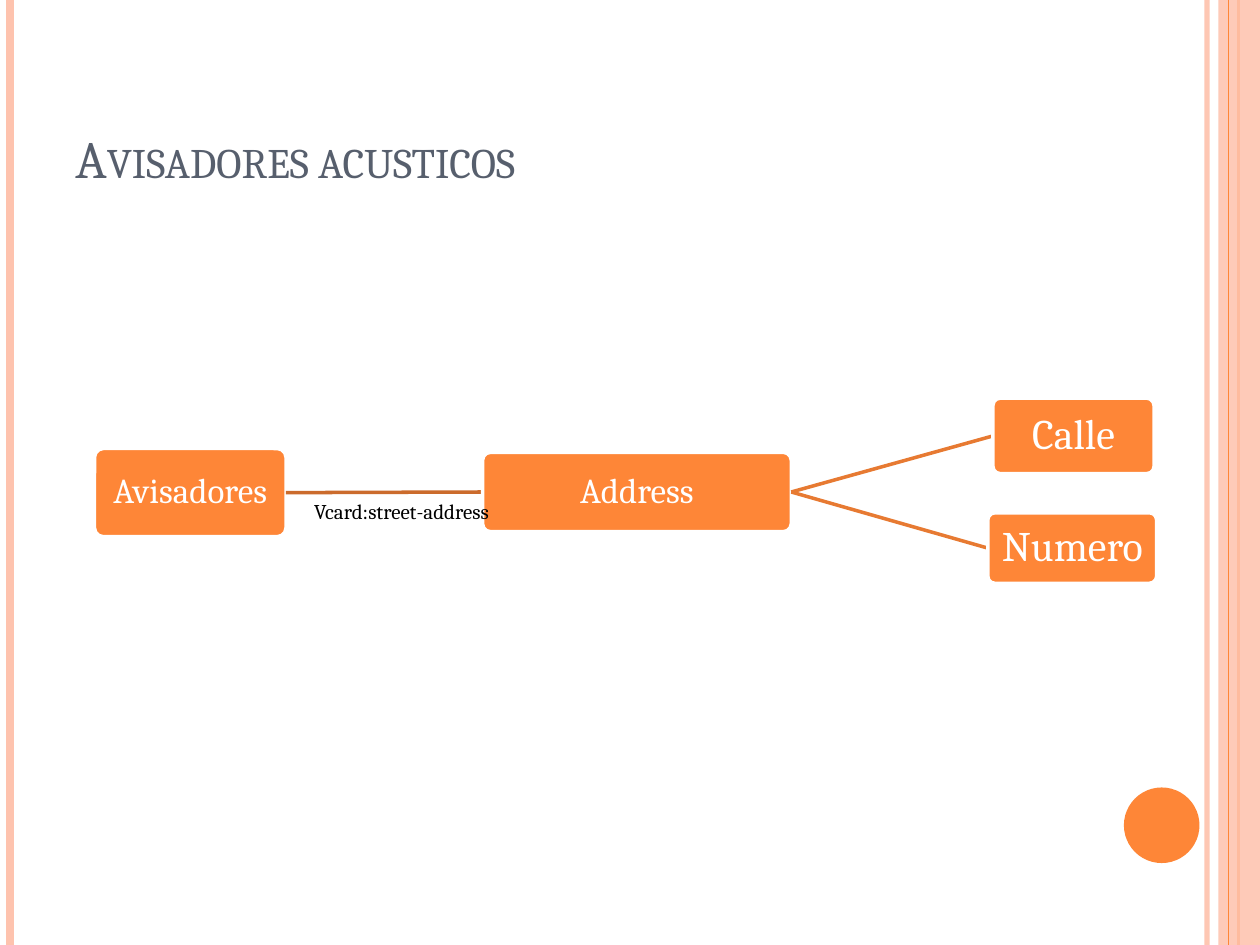
from lxml.etree import SubElement
from pptx import Presentation
from pptx.dml.color import RGBColor
from pptx.enum.shapes import MSO_CONNECTOR, MSO_SHAPE as Shape
from pptx.enum.text import MSO_ANCHOR as Anchor, PP_ALIGN as Align
from pptx.oxml.ns import qn
from pptx.util import Inches, Pt

FONT = "Cambria"
COLORS = {"orange": "FE8637", "peach": "FEC3AE", "slate": "575F6D", "white": "FFFFFF",
          "black": "000000", "link": "CB6B2C", "branch": "E77A32"}
TITLE = "Avisadores acusticos"
RELATION = "Vcard:street-address"
NODES = [
    ("Avisadores", (0.75, 3.56, 1.52, 0.7), 20, None, None),
    ("Address", (3.83, 3.59, 2.45, 0.63), 20, "Avisadores", "link"),
    ("Calle", (7.88, 3.16, 1.28, 0.6), 24, "Address", "branch"),
    ("Numero", (7.84, 4.07, 1.34, 0.56), 24, "Address", "branch"),
]
BACK_STRIPES = [(9.58, "peach", 3, 93), (0.08, "peach", 4.5, 100), (9.83, "orange", 1.5, 100)]
FRONT_STRIPE = (9.75, "orange", 0.75, 100)
BAND = (9.67, 0, 0.33, 7.5)
DISC = (8.92, 6.25, 0.6, 0.6)

prs = Presentation()
prs.slide_width, prs.slide_height = Inches(10), Inches(7.5)
shapes = prs.slides.add_slide(prs.slide_layouts[6]).shapes


def rgb(name):
    return RGBColor.from_string(COLORS[name])


def set_alpha(fill, percent):
    color = fill._xPr.find(qn("a:solidFill"))[0]
    SubElement(color, qn("a:alpha"), val=str(percent * 1000))


def add_line(start, end, color, width):
    line = shapes.add_connector(MSO_CONNECTOR.STRAIGHT, *map(Inches, start + end))
    line.line.color.rgb = rgb(color)
    line.line.width = Pt(width)
    SubElement(line._element.spPr, qn("a:effectLst"))
    return line


def add_stripe(x, color, width, alpha):
    stripe = add_line((x, 0), (x, 7.5), color, width)
    if alpha < 100:
        set_alpha(stripe.line.fill, alpha)


def add_block(kind, box, color):
    block = shapes.add_shape(kind, *map(Inches, box))
    block.shadow.inherit = False
    block.fill.solid()
    block.fill.fore_color.rgb = rgb(color)
    block.line.fill.background()
    return block


def write(frame, text, size, color, align, anchor):
    frame.word_wrap = True
    frame.vertical_anchor = anchor
    paragraph = frame.paragraphs[0]
    paragraph.alignment = align
    run = paragraph.add_run()
    run.text = text
    run.font.name, run.font.size = FONT, Pt(size)
    run.font.color.rgb = rgb(color)
    return run


def add_label(box, *style):
    return write(shapes.add_textbox(*map(Inches, box)).text_frame, *style)


for stripe in BACK_STRIPES:
    add_stripe(*stripe)
set_alpha(add_block(Shape.RECTANGLE, BAND, "peach").fill, 87)
add_stripe(*FRONT_STRIPE)
add_block(Shape.OVAL, DISC, "orange")

title = add_label((0.5, 0.3, 8.17, 1.25), TITLE, 30, "slate", Align.LEFT, Anchor.BOTTOM)
title.font._element.set("cap", "small")

drawn = {}
for name, box, size, parent, link_color in NODES:
    if parent:
        link = add_line((0, 0), (1, 1), link_color, 2)
        link.begin_connect(drawn[parent], 3)
    node = drawn[name] = add_block(Shape.ROUNDED_RECTANGLE, box, "orange")
    node.adjustments[0] = 0.1
    node.line.color.rgb = rgb("white")
    node.line.width = Pt(2)
    frame = node.text_frame
    frame.margin_left = frame.margin_right = frame.margin_top = frame.margin_bottom = Inches(0.02)
    write(frame, name, size, "white", Align.CENTER, Anchor.MIDDLE)
    frame.paragraphs[0].line_spacing = 0.9
    if parent:
        link.end_connect(node, 1)

add_label((1.54, 3.91, 2.44, 0.3), RELATION, 12, "black", Align.RIGHT, Anchor.TOP)

prs.save("out.pptx")
